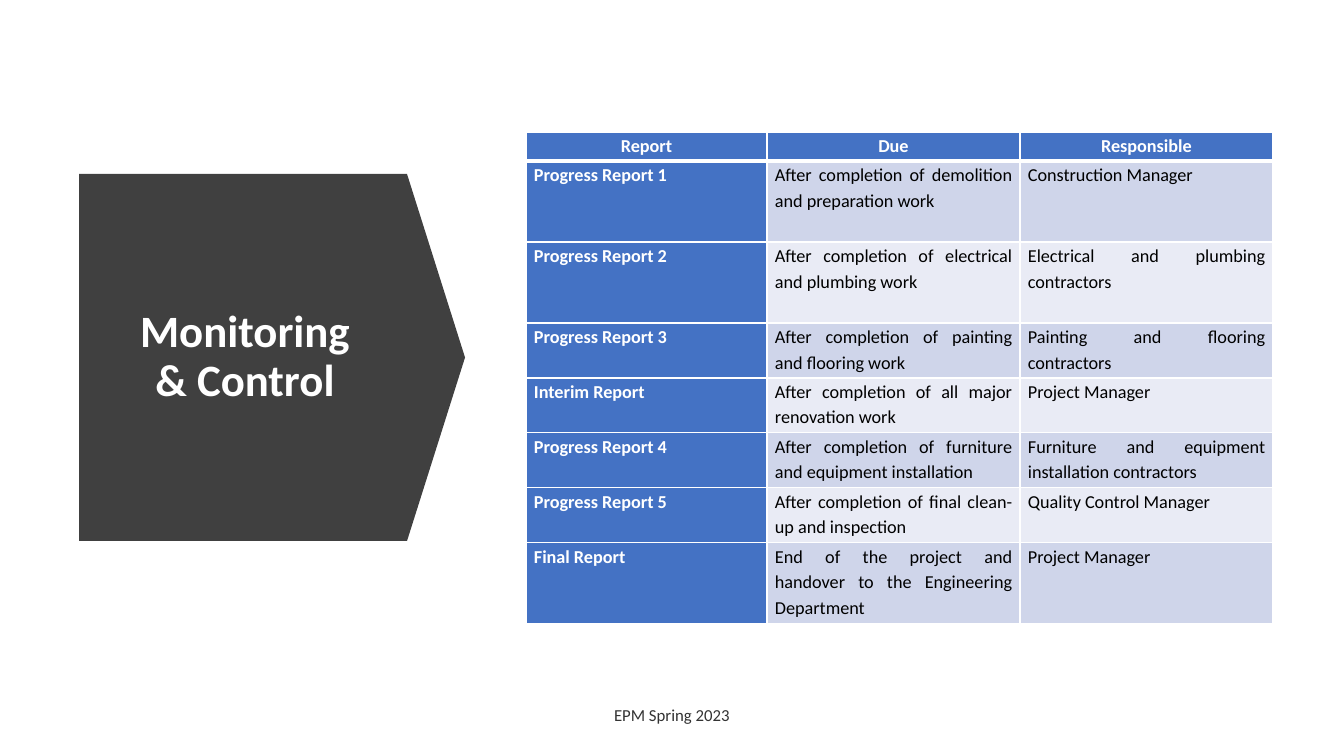
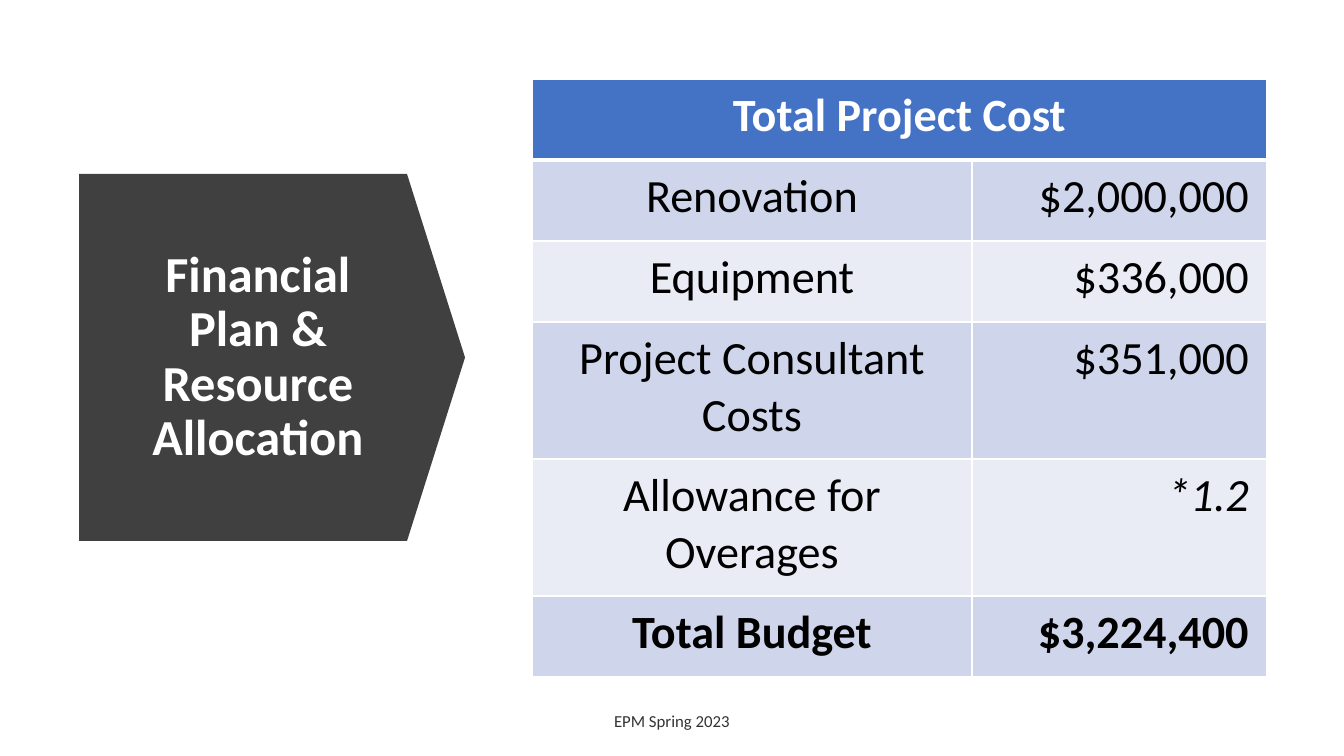
"""Build two project slides, each with an arrow title, a table and a footer."""
import pptx
import pptx.util
import pptx.dml.color
import pptx.enum.shapes
import pptx.enum.text
import pptx.oxml
import pptx.oxml.ns

RGB = pptx.dml.color.RGBColor
WHITE = RGB(0xFF, 0xFF, 0xFF)
BLACK = RGB(0x00, 0x00, 0x00)
DARK = RGB(0x40, 0x40, 0x40)
GREY = RGB(0x33, 0x33, 0x33)
BLUE = RGB(0x44, 0x72, 0xC4)
BANDS = RGB(0xCF, 0xD5, 0xEA), RGB(0xE9, 0xEB, 0xF5)

ALIGN = pptx.enum.text.PP_ALIGN
LEFT, MID, RIGHT, FULL = ALIGN.LEFT, ALIGN.CENTER, ALIGN.RIGHT, ALIGN.JUSTIFY
MIDDLE = pptx.enum.text.MSO_ANCHOR.MIDDLE
FONT = "Calibri"
FOOTER = "EPM Spring 2023"
WIDE, HIGH = 1344, 756
SCALE = 12192000 / WIDE
ARROW = 79, 174, 386, 367
TIP = 0.158

REPORTS = [
    ("Report", "Due", "Responsible"),
    ("Progress Report 1", "After completion of demolition and preparation work",
     "Construction Manager"),
    ("Progress Report 2", "After completion of electrical and plumbing work",
     "Electrical and plumbing contractors"),
    ("Progress Report 3", "After completion of painting and flooring work",
     "Painting and flooring contractors"),
    ("Interim Report", "After completion of all major renovation work",
     "Project Manager"),
    ("Progress Report 4", "After completion of furniture and equipment installation",
     "Furniture and equipment installation contractors"),
    ("Progress Report 5", "After completion of final clean-up and inspection",
     "Quality Control Manager"),
    ("Final Report", "End of the project and handover to the Engineering Department",
     "Project Manager"),
]
COSTS = [
    ("Total Project Cost", ""),
    ("Renovation", "$2,000,000"),
    ("Equipment", "$336,000"),
    ("Project Consultant Costs", "$351,000"),
    ("Allowance for Overages", "*1.2"),
    ("Total Budget", "$3,224,400"),
]
SLIDES = [
    dict(title="Monitoring & Control", size=32, inset=69, foot=695,
         grid=dict(rows=REPORTS, at=(526, 132), cols=(241, 253, 253),
                   highs=(29, 81, 81, 55, 55, 55, 55, 81), size=13,
                   pad=(8, 0), aligns=(FULL, FULL, FULL), lead=1.15, side=True)),
    dict(title="Financial Plan & Resource Allocation", size=36, inset=43, foot=701,
         grid=dict(rows=COSTS, at=(532, 79), cols=(440, 295),
                   highs=(81, 81, 81, 137, 137, 81), size=33,
                   pad=(18, 9), aligns=(MID, RIGHT), span=True, total=True,
                   slant="*1.2")),
]


def px(num):
    return pptx.util.Emu(round(num * SCALE))


def write(frame, text, size=12, color=BLACK, bold=False, italic=False,
          align=MID, lead=1.0):
    frame.word_wrap = True
    para = frame.paragraphs[0]
    para.alignment, para.line_spacing = align, lead
    run = para.add_run()
    run.text = text
    font = run.font
    font.name, font.size = FONT, pptx.util.Pt(size)
    font.bold, font.italic, font.color.rgb = bold, italic, color


def edge(cell, **widths):
    props = cell._tc.get_or_add_tcPr()
    for side in "LRTB":
        props.append(pptx.oxml.parse_xml(
            f'<a:ln{side} {pptx.oxml.ns.nsdecls("a")} w="{widths.get(side, 1) * 12700}">'
            f'<a:solidFill><a:srgbClr val="{WHITE}"/></a:solidFill></a:ln{side}>'))


def fill(thing, color):
    thing.fill.solid()
    thing.fill.fore_color.rgb = color


def arrow(slide, title, size, inset):
    kind = pptx.enum.shapes.MSO_SHAPE.PENTAGON
    shape = slide.shapes.add_shape(kind, *map(px, ARROW))
    shape.adjustments[0] = TIP
    shape.shadow.inherit = False
    fill(shape, DARK)
    shape.line.fill.background()
    frame = shape.text_frame
    frame.vertical_anchor = MIDDLE
    frame.margin_left, frame.margin_right = px(44), px(inset)
    write(frame, title, size=size, color=WHITE, bold=True, lead=0.9)


def footer(slide, top):
    box = slide.shapes.add_textbox(px(330), px(top), px(684), px(40))
    box.text_frame.vertical_anchor = MIDDLE
    write(box.text_frame, FOOTER, color=GREY)


def grid(slide, rows, at, cols, highs, size, pad, aligns, lead=1.0,
         side=False, span=False, total=False, slant=None):
    table = slide.shapes.add_table(
        len(rows), len(cols), *map(px, (*at, sum(cols), sum(highs)))).table
    for col, width in zip(table.columns, cols):
        col.width = px(width)
    for row, high in zip(table.rows, highs):
        row.height = px(high)
    if span:
        table.cell(0, 0).merge(table.cell(0, len(cols) - 1))
    for i, row in enumerate(rows):
        for j, text in enumerate(row):
            cell = table.cell(i, j)
            head = i == 0 or side and j == 0
            edge(cell, T=3 if i == 1 else 1, B=3 if i == 0 else 1)
            fill(cell, BLUE if head else BANDS[(i - 1) % 2])
            cell.margin_left = cell.margin_right = px(pad[0])
            cell.margin_top = cell.margin_bottom = px(pad[1])
            if text:
                write(cell.text_frame, text, size=size, lead=lead,
                      color=WHITE if head else BLACK,
                      bold=head or total and i == len(rows) - 1,
                      italic=text == slant,
                      align=aligns[j] if i else MID)


def main():
    deck = pptx.Presentation()
    deck.slide_width, deck.slide_height = px(WIDE), px(HIGH)
    for page in SLIDES:
        slide = deck.slides.add_slide(deck.slide_layouts[6])
        arrow(slide, page["title"], page["size"], page["inset"])
        footer(slide, page["foot"])
        grid(slide, **page["grid"])
    deck.save("out.pptx")


if __name__ == "__main__":
    main()
